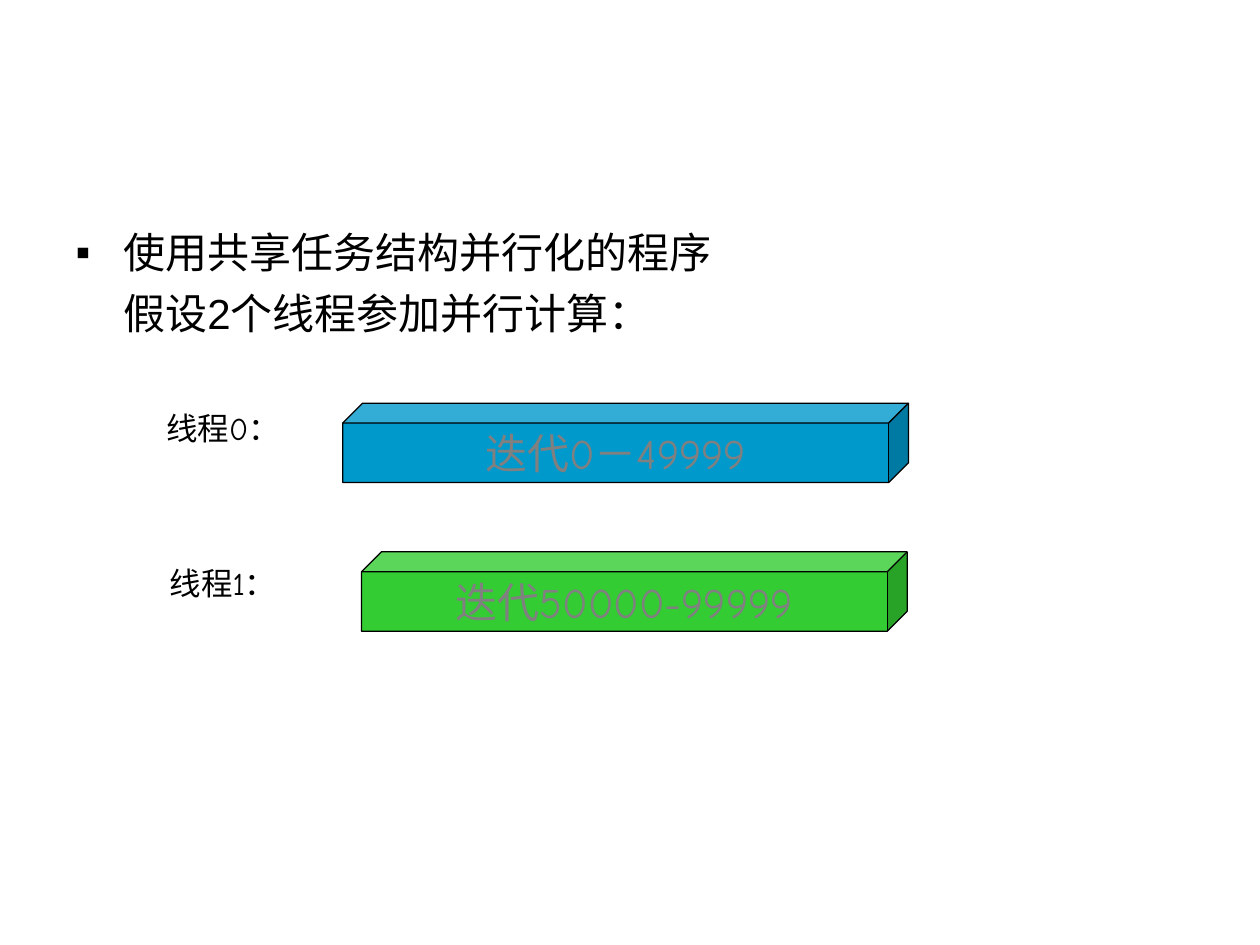
from dataclasses import dataclass

from lxml.etree import SubElement as Sub
from pptx import Presentation
from pptx.dml.color import RGBColor as RGB
from pptx.enum.shapes import MSO_SHAPE as Shape
from pptx.enum.text import MSO_ANCHOR as Anchor, MSO_AUTO_SIZE as Fit, PP_ALIGN as Align
from pptx.oxml.ns import qn
from pptx.util import Pt

PX = 9144  # 100 px to the inch
COLORS = {"ink": "000000", "grey": "808080", "blue": "0099CC", "green": "33CC33"}
BODY, LABEL = "Arial", "Comic Neue"


@dataclass
class Thread:
    name: str
    work: str
    fill: str
    label_y: int
    bar_x: int
    bar_y: int
    bar_w: int


def px(*sizes: int) -> list[int]:
    return [size * PX for size in sizes]


def color(key: str) -> RGB:
    return RGB.from_string(COLORS[key])


def style(par, face: str, size: int, ink: str) -> None:
    for run in par.runs:
        run.font.name = face
        run.font.size = Pt(size)
        run.font.color.rgb = color(ink)


def mark(par, sign: str | None) -> None:
    """Hang the text at 38 px, after a square bullet if one is given."""
    props = par._p.get_or_add_pPr()
    props.set("marL", str(38 * PX))
    props.set("indent", str(-38 * PX if sign else 0))
    if sign:
        tint = Sub(props, qn("a:buClr"))
        Sub(tint, qn("a:srgbClr"), val=COLORS["ink"])
        Sub(props, qn("a:buFont"), typeface=BODY)
        Sub(props, qn("a:buChar"), char=sign)
    else:
        Sub(props, qn("a:buNone"))


def draw_body(body, lines: list[str]) -> None:
    body.left, body.top, body.width, body.height = px(50, 175, 900, 495)
    frame = body.text_frame
    frame.text = "\n".join(lines)
    frame.auto_size = Fit.NONE
    for i, par in enumerate(frame.paragraphs):
        mark(par, None if i else "▪")
        par.space_before = Pt(6 if i else 0)
        style(par, BODY, 24, "ink")


def draw_thread(slide, row: Thread) -> None:
    # Label
    box = slide.shapes.add_textbox(*px(114, row.label_y, 126, 40))
    box.text_frame.word_wrap = True
    box.text_frame.text = row.name

    # Bar of iterations
    bar = slide.shapes.add_shape(Shape.CUBE, *px(row.bar_x, row.bar_y, row.bar_w, 63))
    bar.shadow.inherit = False
    bar.fill.solid()
    bar.fill.fore_color.rgb = color(row.fill)
    bar.line.color.rgb = color("ink")
    bar.line.width = Pt(0.75)
    bar.text_frame.word_wrap = False
    bar.text_frame.vertical_anchor = Anchor.MIDDLE
    bar.text_frame.text = row.work

    for item, size, ink in ((box, 18, "ink"), (bar, 24, "grey")):
        par = item.text_frame.paragraphs[0]
        par.alignment = Align.CENTER
        style(par, LABEL, size, ink)


def main() -> None:
    deck = Presentation()
    deck.slide_width, deck.slide_height = px(1000, 750)
    slide = deck.slides.add_slide(deck.slide_layouts[1])
    title = slide.shapes.title._element
    title.getparent().remove(title)

    draw_body(slide.placeholders[1], ["使用共享任务结构并行化的程序", "假设2个线程参加并行计算："])

    threads = [
        Thread("线程0：", "迭代0－49999", "blue", 320, 272, 320, 449),
        Thread("线程1：", "迭代50000-99999", "green", 443, 287, 438, 433),
    ]
    for row in threads:
        draw_thread(slide, row)

    deck.save("out.pptx")


if __name__ == "__main__":
    main()
